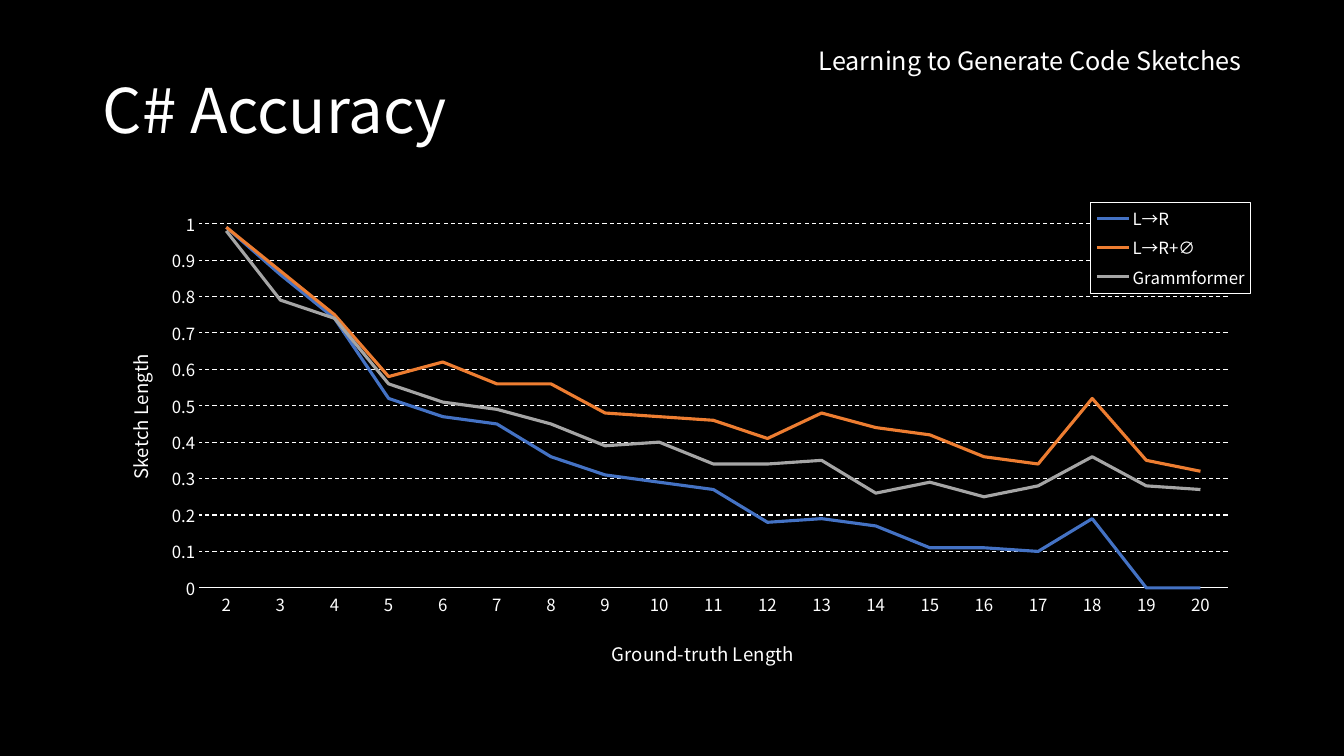
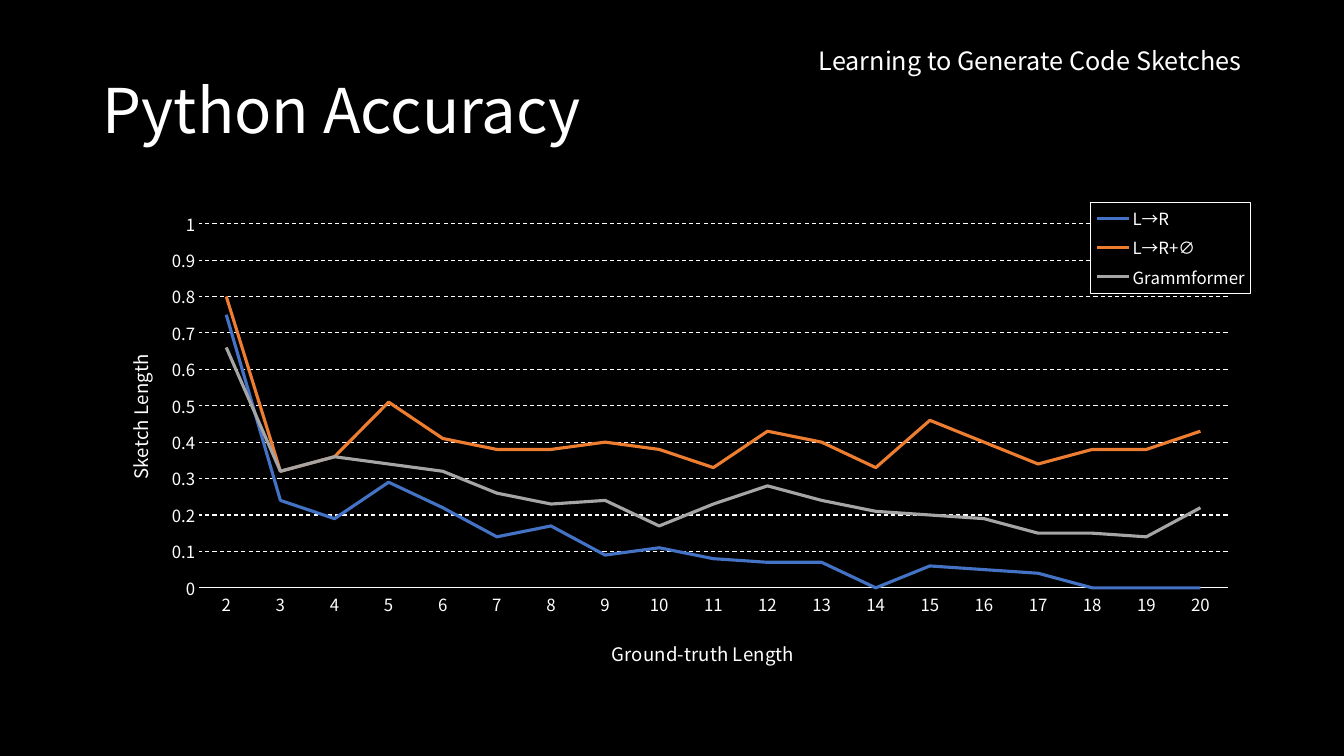
"""Build two slides that chart sketch accuracy for C# and Python."""
from pptx import Presentation
from pptx.chart.data import CategoryChartData
from pptx.dml.color import RGBColor
from pptx.enum.chart import XL_CHART_TYPE, XL_LEGEND_POSITION, XL_TICK_MARK
from pptx.enum.dml import MSO_LINE
from pptx.enum.text import MSO_ANCHOR, MSO_AUTO_SIZE, PP_ALIGN
from pptx.oxml import parse_xml
from pptx.oxml.ns import nsdecls
from pptx.util import Inches, Pt

LINE_CHART = XL_CHART_TYPE.LINE
CORNER = XL_LEGEND_POSITION.CORNER
NO_TICK = XL_TICK_MARK.NONE
DASH = MSO_LINE.DASH
MIDDLE, TOP = MSO_ANCHOR.MIDDLE, MSO_ANCHOR.TOP
LEFT, CENTER, RIGHT = PP_ALIGN.LEFT, PP_ALIGN.CENTER, PP_ALIGN.RIGHT
NO_AUTOFIT = MSO_AUTO_SIZE.NONE

FONT = "Noto Sans CJK SC"
color = RGBColor.from_string
WHITE, BLACK = "FFFFFF", "000000"
SERIES_STYLES = [("L→R", "4472C4"), ("L→R+∅", "ED7D31"), ("Grammformer", "A5A5A5")]
ACCURACY = {
    "C# Accuracy": [
        [0.99, 0.86, 0.74, 0.52, 0.47, 0.45, 0.36, 0.31, 0.29, 0.27,
         0.18, 0.19, 0.17, 0.11, 0.11, 0.1, 0.19, 0, 0],
        [0.99, 0.87, 0.75, 0.58, 0.62, 0.56, 0.56, 0.48, 0.47, 0.46,
         0.41, 0.48, 0.44, 0.42, 0.36, 0.34, 0.52, 0.35, 0.32],
        [0.98, 0.79, 0.74, 0.56, 0.51, 0.49, 0.45, 0.39, 0.4, 0.34,
         0.34, 0.35, 0.26, 0.29, 0.25, 0.28, 0.36, 0.28, 0.27],
    ],
    "Python Accuracy": [
        [0.75, 0.24, 0.19, 0.29, 0.22, 0.14, 0.17, 0.09, 0.11, 0.08,
         0.07, 0.07, 0, 0.06, 0.05, 0.04, 0, 0, 0],
        [0.8, 0.32, 0.36, 0.51, 0.41, 0.38, 0.38, 0.4, 0.38, 0.33,
         0.43, 0.4, 0.33, 0.46, 0.4, 0.34, 0.38, 0.38, 0.43],
        [0.66, 0.32, 0.36, 0.34, 0.32, 0.26, 0.23, 0.24, 0.17, 0.23,
         0.28, 0.24, 0.21, 0.2, 0.19, 0.15, 0.15, 0.14, 0.22],
    ],
}


def write_text(text_frame, text, size, align=CENTER, spacing=1.0):
    text_frame.text = text
    paragraph = text_frame.paragraphs[0]
    paragraph.alignment = align
    paragraph.line_spacing = spacing
    font = paragraph.runs[0].font
    font.name, font.size, font.bold = FONT, Pt(size), False
    font.color.rgb = color(WHITE)


def place(element, index, **shares):
    for layout in element.xpath("c:layout"):
        element.remove(layout)
    modes = "".join(f'<c:{axis}Mode val="edge"/>' for axis in "xy")
    target = '<c:layoutTarget val="inner"/>' if index == 0 else ""
    values = "".join(f'<c:{name} val="{share}"/>' for name, share in shares.items())
    element.insert(index, parse_xml(
        f'<c:layout {nsdecls("c")}><c:manualLayout>{target}{modes}{values}'
        "</c:manualLayout></c:layout>"))


presentation = Presentation()
presentation.slide_width, presentation.slide_height = Inches(13.33), Inches(7.5)
column = presentation.slide_width / 29
row = presentation.slide_height / 75
left, width = int(2 * column), int(25 * column)
background = presentation.slide_master.background.fill
background.solid()
background.fore_color.rgb = color(BLACK)
title_only = presentation.slide_layouts[5]

for heading, accuracy in ACCURACY.items():
    slide = presentation.slides.add_slide(title_only)

    header = slide.shapes.add_textbox(left, int(4 * row), width, int(4 * row))
    header.text_frame.word_wrap = True
    header.text_frame.vertical_anchor = TOP
    write_text(header.text_frame, "Learning to Generate Code Sketches", 18, RIGHT)

    title = slide.shapes.title
    title.left, title.top = left, int(4 * row)
    title.width, title.height = width, int(14.5 * row)
    title.text_frame.vertical_anchor = MIDDLE
    title.text_frame.auto_size = NO_AUTOFIT
    write_text(title.text_frame, heading, 44, LEFT, 0.9)

    chart_data = CategoryChartData()
    chart_data.categories = [str(length) for length in range(2, 21)]
    for (name, _), values in zip(SERIES_STYLES, accuracy):
        chart_data.add_series(name, values)
    chart = slide.shapes.add_chart(
        LINE_CHART, left, int(20 * row), width, int(47.6 * row), chart_data).chart
    chart.has_title = False
    chart.font.name, chart.font.size = FONT, Pt(12)
    chart.font.color.rgb = color(WHITE)
    chart.plots[0].vary_by_categories = False
    place(chart.element.xpath(".//c:plotArea")[0], 0, x=0.092, y=0.045, w=0.888, h=0.76)

    for series, (_, line_color) in zip(chart.plots[0].series, SERIES_STYLES):
        series.smooth = False
        series.format.line.width = Pt(2.25)
        series.format.line.color.rgb = color(line_color)

    category_axis, value_axis = chart.category_axis, chart.value_axis
    for axis, caption, x, y in [(category_axis, "Ground-truth Length", 0.445, 0.9),
                                (value_axis, "Sketch Length", 0.024, 0.31)]:
        axis.major_tick_mark = axis.minor_tick_mark = NO_TICK
        write_text(axis.axis_title.text_frame, caption, 13.3)
        place(axis.axis_title.element, 1, x=x, y=y)
    value_body = value_axis.axis_title.element.xpath(".//a:bodyPr")[0]
    value_body.set("rot", "-5400000")
    value_body.set("vert", "horz")

    value_axis.minimum_scale, value_axis.maximum_scale = 0, 1
    value_axis.major_unit = 0.1
    value_axis.format.line.fill.background()
    gridlines = value_axis.major_gridlines.format.line
    gridlines.dash_style = DASH
    for line in (category_axis.format.line, gridlines):
        line.width = Pt(0.75)
        line.color.rgb = color(WHITE)

    chart.has_legend = True
    chart.legend.position = CORNER
    chart.legend.include_in_layout = True
    legend = chart.element.xpath(".//c:legend")[0]
    place(legend, 1, x=0.862, y=0, w=0.138, h=0.19)
    legend.xpath("c:overlay")[0].addnext(parse_xml(
        f'<c:spPr {nsdecls("c", "a")}>'
        f'<a:solidFill><a:srgbClr val="{BLACK}"/></a:solidFill>'
        f'<a:ln w="{Pt(0.75)}"><a:solidFill><a:srgbClr val="{WHITE}"/></a:solidFill></a:ln>'
        "</c:spPr>"))

presentation.save("out.pptx")
